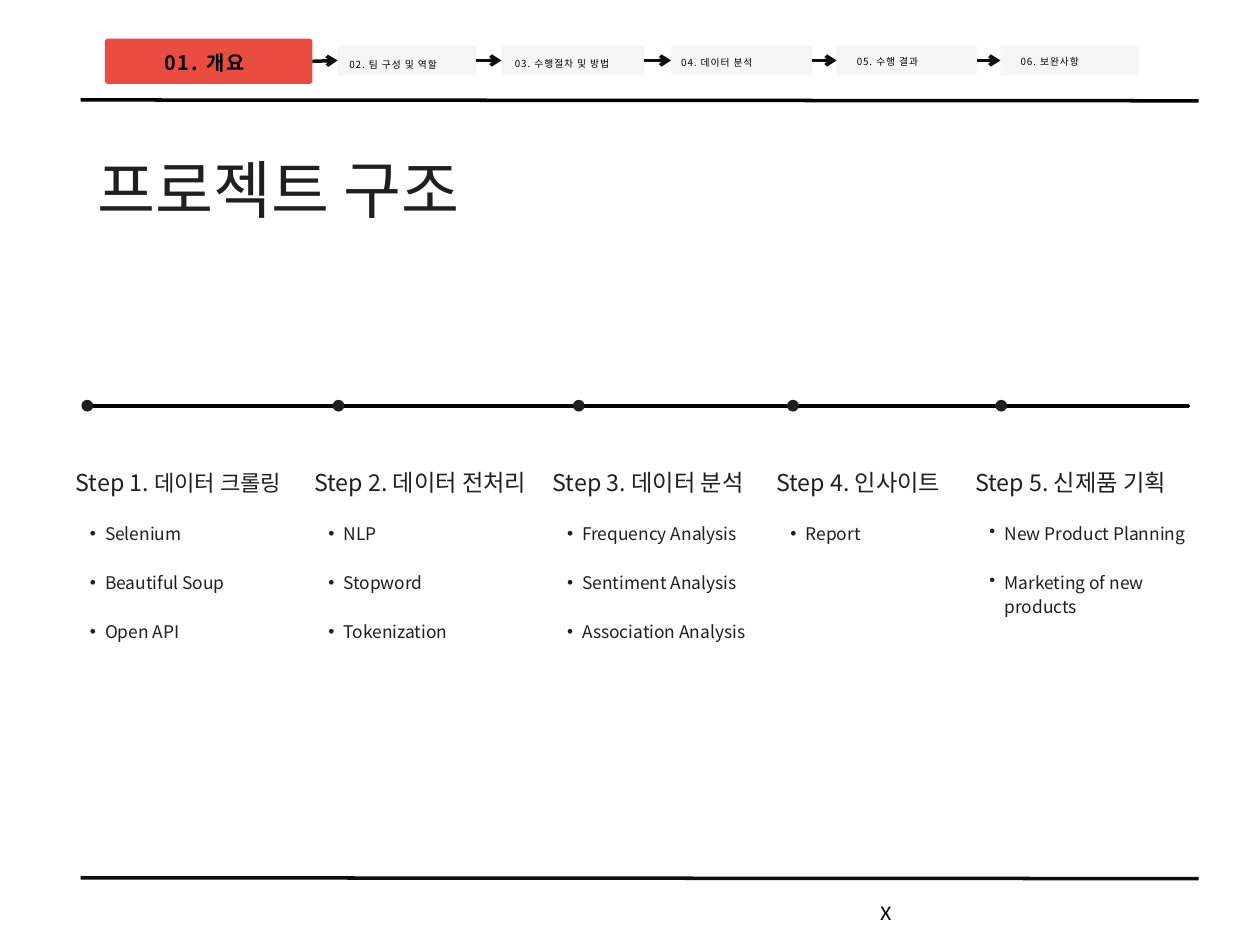
from dataclasses import dataclass
from itertools import pairwise
from typing import Optional

from lxml.etree import SubElement
from pptx import Presentation
from pptx.dml.color import RGBColor
from pptx.enum.shapes import MSO_CONNECTOR as Connector, MSO_SHAPE as Shape
from pptx.enum.text import MSO_ANCHOR as Anchor, MSO_AUTO_SIZE as AutoSize, PP_ALIGN as Align
from pptx.oxml.ns import qn
from pptx.util import Inches, Pt

KOREAN_FONT = "Noto Sans CJK KR"
INK, BLACK, RULE = "201F1F", "000000", "0F0E0C"
RED, GREY = "E94C40", "F6F6F6"


@dataclass
class TextStyle:
    size: float
    line_spacing: float
    color: str = INK
    font: str = KOREAN_FONT
    bold: bool = False
    tracking: float = 0
    align: Align = Align.LEFT


@dataclass
class Chapter:
    """One box of the navigation bar, with the place of its label."""
    label: str
    left: float
    width: float
    text_left: float
    text_top: float
    text_width: float


@dataclass
class Step:
    number: str
    name: str
    left: float
    width: float
    dot_left: float
    items: list[str]
    name_size: Optional[float] = None


TITLE = TextStyle(54, 38.5)
HEADING = TextStyle(19.9, 27.9)
ITEM = TextStyle(14.9, 20.9)
CURRENT = TextStyle(17, 23.9, BLACK, bold=True, tracking=1.7, align=Align.CENTER)
OTHER = TextStyle(8.4, 11.8, BLACK, tracking=0.8)
PAGE = TextStyle(18, 25.2, BLACK, "Calibri", align=Align.CENTER)

CHAPTERS = [
    Chapter("01. 개요", 1.25, 2.47, 1.41, 0.56, 2.05),
    Chapter("02. 팀 구성 및 역할", 4.02, 1.65, 4.16, 0.67, 1.27),
    Chapter("03. 수행절차 및 방법", 5.97, 1.7, 6.13, 0.66, 1.39),
    Chapter("04. 데이터 분석", 7.99, 1.68, 8.11, 0.65, 1.2),
    Chapter("05. 수행 결과", 9.96, 1.67, 10.2, 0.64, 1.15),
    Chapter("06. 보완사항", 11.91, 1.65, 12.15, 0.64, 1.15),
]

STEPS = [
    Step("Step 1. ", "데이터 크롤링", 0.9, 2.64, 0.97,
         ["Selenium", "Beautiful Soup", "Open API"], name_size=19),
    Step("Step 2. ", "데이터 전처리", 3.74, 2.73, 3.96,
         ["NLP", "Stopword", "Tokenization"]),
    Step("Step 3. ", "데이터 분석", 6.58, 2.47, 6.82,
         ["Frequency Analysis", "Sentiment Analysis", "Association Analysis"]),
    Step("Step 4. ", "인사이트", 9.24, 2.32, 9.37, ["Report"]),
    Step("Step 5. ", "신제품 기획", 11.61, 2.54, 11.85,
         ["New Product Planning", "Marketing of new products"]),
]


def rgb(color: str) -> RGBColor:
    return RGBColor.from_string(color)


def place(shape, left: float, top: float, width: float, height: float) -> None:
    shape.left, shape.top = Inches(left), Inches(top)
    shape.width, shape.height = Inches(width), Inches(height)


def prepare_frame(shape):
    frame = shape.text_frame
    frame.word_wrap = True
    frame.auto_size = AutoSize.NONE
    frame.vertical_anchor = Anchor.TOP
    frame.margin_left = frame.margin_top = frame.margin_right = frame.margin_bottom = 0
    return frame


def format_paragraph(paragraph, style: TextStyle) -> None:
    paragraph.alignment = style.align
    paragraph.line_spacing = Pt(style.line_spacing)
    paragraph.space_before = paragraph.space_after = Pt(0)
    font = paragraph.font
    font.name, font.size, font.bold = style.font, Pt(style.size), style.bold
    font.color.rgb = rgb(style.color)
    properties = paragraph._p.pPr.find(qn("a:defRPr"))
    properties.set("spc", str(round(style.tracking * 100)))
    SubElement(properties, qn("a:ea"), typeface=style.font)


def add_text(shapes, text: str, left: float, top: float, width: float,
             height: float, style: TextStyle):
    box = shapes.add_textbox(0, 0, 0, 0)
    place(box, left, top, width, height)
    paragraph = prepare_frame(box).paragraphs[0]
    paragraph.add_run().text = text
    format_paragraph(paragraph, style)
    return paragraph


def fill_list(box, items: list[str]) -> None:
    frame = prepare_frame(box)
    for index, item in enumerate(items):
        paragraph = frame.add_paragraph() if index else frame.paragraphs[0]
        paragraph.add_run().text = item
        paragraph.level = 1
        properties = paragraph._p.get_or_add_pPr()
        properties.set("marL", str(Inches(0.35)))
        properties.set("indent", str(Inches(-0.18)))
        SubElement(properties, qn("a:buChar"), char="•")
        format_paragraph(paragraph, ITEM)
        if index:
            paragraph.space_before = Pt(ITEM.line_spacing)


def add_block(shapes, kind: Shape, left: float, top: float, width: float,
              height: float, color: str):
    block = shapes.add_shape(kind, Inches(left), Inches(top), Inches(width), Inches(height))
    block.shadow.inherit = False
    block.fill.solid()
    block.fill.fore_color.rgb = rgb(color)
    block.line.fill.background()
    return block


def add_line(shapes, start: tuple[float, float], end: tuple[float, float],
             color: str, arrow: bool = False):
    line = shapes.add_connector(Connector.STRAIGHT, *map(Inches, start + end))
    line.line.color.rgb = rgb(color)
    line.line.width = Pt(3)
    if arrow:
        SubElement(line.line._get_or_add_ln(), qn("a:tailEnd"), type="arrow")
    SubElement(line._element.spPr, qn("a:effectLst"))
    return line


def add_navigation(shapes) -> None:
    boxes = []
    for index, chapter in enumerate(CHAPTERS):
        current = index == 0
        top, height = (0.46, 0.54) if current else (0.54, 0.36)
        box = add_block(shapes, Shape.ROUNDED_RECTANGLE, chapter.left, top,
                        chapter.width, height, RED if current else GREY)
        box.adjustments[0] = 0.07
        boxes.append(box)
        add_text(shapes, chapter.label, chapter.text_left, chapter.text_top,
                 chapter.text_width, 0.34 if current else 0.17,
                 CURRENT if current else OTHER)
    for before, after in pairwise(boxes):
        arrow = add_line(shapes, (0, 0), (1, 0), RULE, arrow=True)
        arrow.begin_connect(before, 3)
        arrow.end_connect(after, 1)


def add_step(shapes, step: Step, list_box) -> None:
    add_block(shapes, Shape.OVAL, step.dot_left, 4.76, 0.14, 0.14, INK)
    heading = add_text(shapes, step.number, step.left, 5.52, step.width, 0.39, HEADING)
    name = heading.add_run()
    name.text = step.name
    if step.name_size:
        name.font.size = Pt(step.name_size)
    place(list_box, step.left, 6.19, step.width, 1.47)
    fill_list(list_box, step.items)


def main() -> None:
    presentation = Presentation()
    presentation.slide_width, presentation.slide_height = Inches(15), Inches(11.25)
    slide = presentation.slides.add_slide(presentation.slide_layouts[4])
    shapes = slide.shapes

    # Title
    title = shapes.title
    place(title, 1.16, 2.16, 6.55, 0.55)
    paragraph = prepare_frame(title).paragraphs[0]
    paragraph.add_run().text = "프로젝트 구조"
    format_paragraph(paragraph, TITLE)

    # Timeline with its steps: four body placeholders and one more box
    timeline = add_block(shapes, Shape.RECTANGLE, 1.04, 4.83, 13.11, 0.01, INK)
    timeline.line.color.rgb = rgb(BLACK)
    timeline.line.width = Pt(2.25)
    list_boxes = [box for box in slide.placeholders if box.placeholder_format.idx]
    list_boxes.append(shapes.add_textbox(0, 0, 0, 0))
    for step, list_box in zip(STEPS, list_boxes):
        add_step(shapes, step, list_box)

    # Header and footer
    add_navigation(shapes)
    add_line(shapes, (0.96, 1.19), (14.27, 1.2), BLACK)
    add_line(shapes, (0.96, 10.45), (14.27, 10.46), RULE)
    add_text(shapes, "X", 10.04, 10.66, 1.01, 0.55, PAGE)

    presentation.save("out.pptx")


if __name__ == "__main__":
    main()
